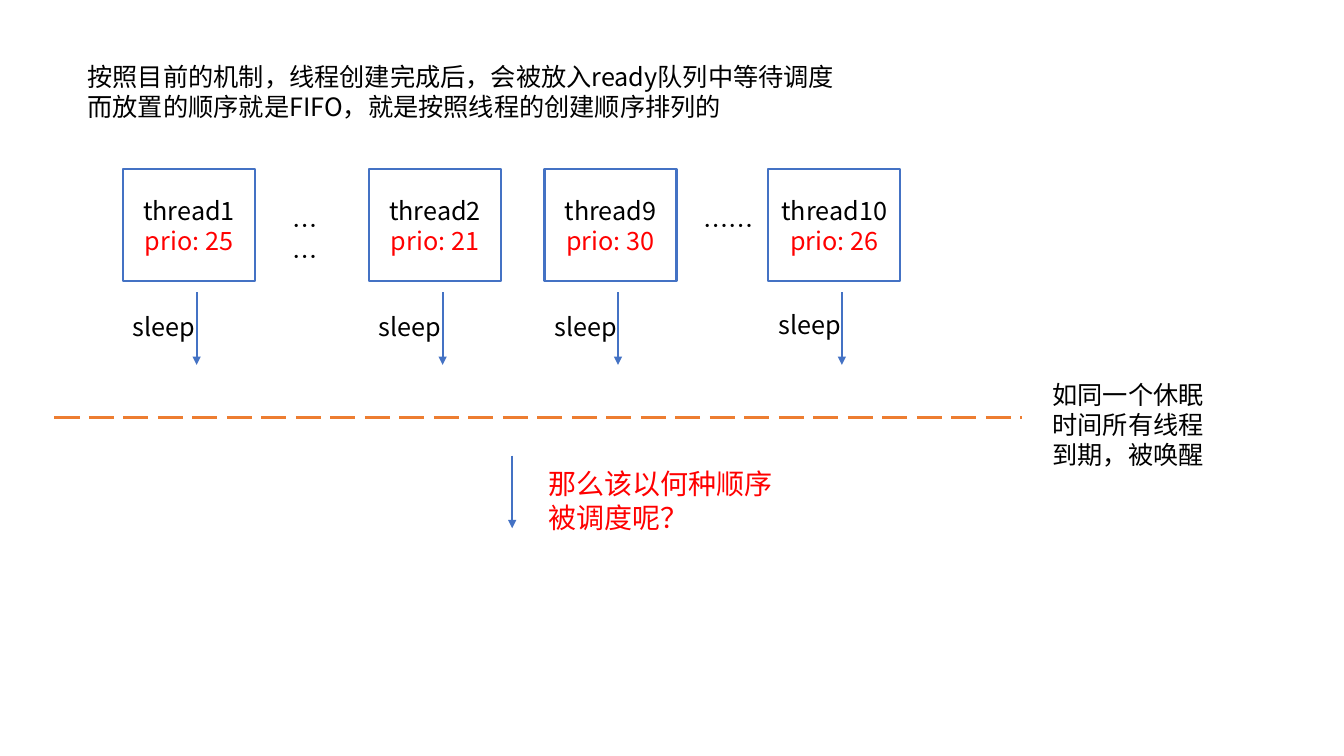
from pptx import Presentation
from pptx.dml.color import RGBColor
from pptx.enum import dml, shapes, text
from pptx.oxml import ns
from pptx.util import Inches, Pt
from lxml import etree

FONT = "Noto Sans CJK SC"
BLACK, RED, WHITE, BLUE, ORANGE = "000000", "FF0000", "FFFFFF", "4472C4", "ED7D31"

# name, priority, left edge, top of the sleep label
THREADS = [
    ("thread1", 25, 1.22, 3.04),
    ("thread2", 21, 3.66, 3.04),
    ("thread9", 30, 5.4, 3.04),
    ("thread10", 26, 7.62, 3.02),
]
# lines, (left, top, width, height), size, colour
NOTES = [
    (["按照目前的机制，线程创建完成后，会被放入ready队列中等待调度",
      "而放置的顺序就是FIFO，就是按照线程的创建顺序排列的"],
     (0.77, 0.56, 7.88, 0.71), 18, BLACK),
    (["……"], (2.8, 2.04, 0.64, 0.4), 18, BLACK),
    (["……"], (6.88, 2.04, 0.74, 0.4), 18, BLACK),
    (["如同一个休眠时间所有线程到期，被唤醒"], (10.34, 3.71, 1.77, 1.01), 18, BLACK),
    (["那么该以何种顺序被调度呢？"], (5.34, 4.58, 2.59, 0.77), 20, RED),
]
BOX_TOP, BOX_W, BOX_H = 1.68, 1.31, 1.11
DROP_TOP, DROP_X, DROP_LEN = 2.9, 0.73, 0.72
WAKE_Y, WAKE_LEFT, WAKE_RIGHT = 4.14, 0.54, 10.14
NEXT_X, NEXT_TOP = 5.08, 4.52


def rgb(code):
    return RGBColor.from_string(code)


def write(shape, lines, colors, size=18, align=None):
    """Fill a shape with one paragraph per line, each in its own colour."""
    frame = shape.text_frame
    frame.word_wrap = True
    frame.text = "\n".join(lines)
    for para, color in zip(frame.paragraphs, colors):
        para.alignment = align
        for run in para.runs:
            run.font.size = Pt(size)
            run.font.name = FONT
            run.font.color.rgb = rgb(color)
            latin = run.font._element.find(ns.qn("a:latin"))
            east = etree.Element(ns.qn("a:ea"), typeface=FONT)
            latin.addnext(east)


def add_note(slide, lines, area, size, color):
    note = slide.shapes.add_textbox(*map(Inches, area))
    write(note, lines, [color] * len(lines), size)


def add_line(slide, start, end, color, width):
    line = slide.shapes.add_connector(
        shapes.MSO_CONNECTOR.STRAIGHT, *map(Inches, start + end))
    line.line.color.rgb = rgb(color)
    line.line.width = Pt(width)
    etree.SubElement(line._element.spPr, ns.qn("a:effectLst"))
    return line


def add_drop(slide, x, top):
    """Draw a downward arrow."""
    drop = add_line(slide, (x, top), (x, top + DROP_LEN), BLUE, 1.5)
    etree.SubElement(drop.line._get_or_add_ln(), ns.qn("a:tailEnd"), type="triangle")


def add_thread(slide, name, prio, left, label_top):
    box = slide.shapes.add_shape(
        shapes.MSO_SHAPE.RECTANGLE,
        *map(Inches, (left, BOX_TOP, BOX_W, BOX_H)))
    box.shadow.inherit = False
    box.fill.solid()
    box.fill.fore_color.rgb = rgb(WHITE)
    box.line.color.rgb = rgb(BLUE)
    box.line.width = Pt(1.5)
    box.text_frame.vertical_anchor = text.MSO_ANCHOR.MIDDLE
    write(box, [name, f"prio: {prio}"], [BLACK, RED], align=text.PP_ALIGN.CENTER)
    add_drop(slide, left + DROP_X, DROP_TOP)
    add_note(slide, ["sleep"], (left, label_top, BOX_W, 0.71), 18, BLACK)


def main():
    deck = Presentation()
    deck.slide_width, deck.slide_height = Inches(13.33), Inches(7.5)
    slide = deck.slides.add_slide(deck.slide_layouts[6])
    for thread in THREADS:
        add_thread(slide, *thread)
    wake = add_line(slide, (WAKE_LEFT, WAKE_Y), (WAKE_RIGHT, WAKE_Y), ORANGE, 2.25)
    wake.line.dash_style = dml.MSO_LINE.LONG_DASH
    add_drop(slide, NEXT_X, NEXT_TOP)
    for note in NOTES:
        add_note(slide, *note)
    deck.save("out.pptx")


if __name__ == "__main__":
    main()
